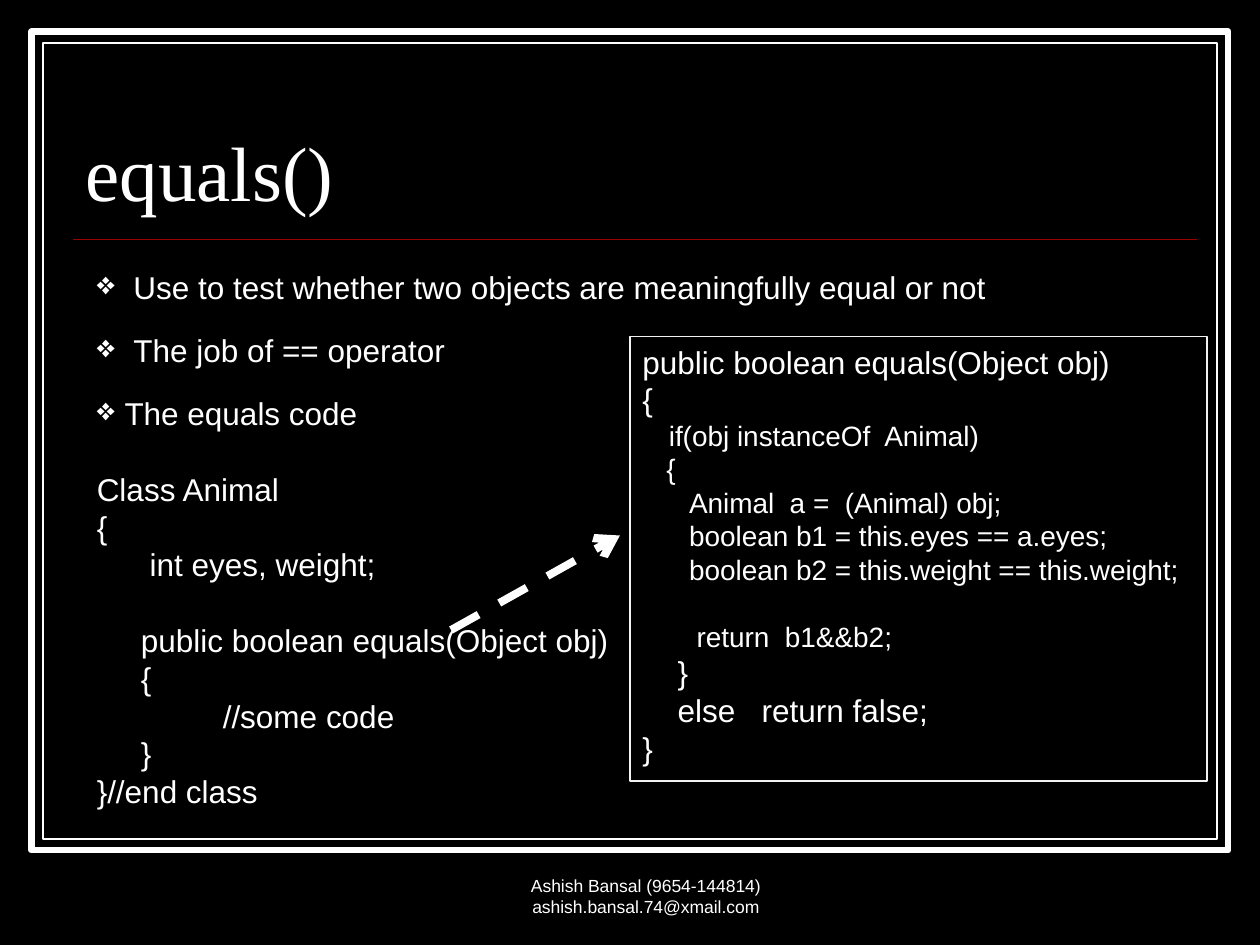
import pptx
import pptx.util
import pptx.dml.color
import pptx.enum.dml
import pptx.enum.shapes
import pptx.enum.text
import pptx.oxml.ns
import pptx.oxml.xmlchemy
from dataclasses import dataclass

Inches = pptx.util.Inches
Pt = pptx.util.Pt
ALIGN = pptx.enum.text.PP_ALIGN
ANCHOR = pptx.enum.text.MSO_ANCHOR
new_element = pptx.oxml.xmlchemy.OxmlElement
qn = pptx.oxml.ns.qn


def rgb(code):
    return pptx.dml.color.RGBColor.from_string(code)


@dataclass(frozen=True)
class Theme:
    back: str = "000000"
    ink: str = "FFFFFF"
    rule: str = "990000"
    code_border: str = "F2F2F2"
    heading_font: str = "Times New Roman"
    body_font: str = "Arial"
    title_size: int = 44
    body_size: int = 18
    code_size: int = 16
    footer_size: int = 10


THEME = Theme()


def format_runs(paragraph, size, font=THEME.body_font):
    for run in paragraph.runs:
        run.font.size = Pt(size)
        run.font.name = font
        run.font.color.rgb = rgb(THEME.ink)


def set_indent(paragraph, left, hanging=0, bullet=None):
    properties = paragraph._p.get_or_add_pPr()
    properties.set("marL", str(Inches(left)))
    properties.set("indent", str(-Inches(hanging)))
    if bullet:
        mark = new_element("a:buChar")
        mark.set("char", bullet)
        properties.append(mark)


def fill_code(frame, lines, first=True):
    """Each line is text, indent in inches, size, blank lines before it."""
    for text, indent, size, gap in lines:
        paragraph = frame.paragraphs[0] if first else frame.add_paragraph()
        first = False
        paragraph.text = text
        paragraph.alignment = ALIGN.LEFT
        paragraph.space_before = Pt(gap * size * 1.2)
        set_indent(paragraph, indent)
        format_runs(paragraph, size)


def add_rectangle(slide, box, line_color, line_width, fill=None):
    rectangle = slide.shapes.add_shape(
        pptx.enum.shapes.MSO_SHAPE.RECTANGLE, *map(Inches, box))
    rectangle.shadow.inherit = False
    if fill:
        rectangle.fill.solid()
        rectangle.fill.fore_color.rgb = rgb(fill)
    else:
        rectangle.fill.background()
    rectangle.line.color.rgb = rgb(line_color)
    rectangle.line.width = Pt(line_width)
    return rectangle


def add_line(slide, start, end, color, width):
    line = slide.shapes.add_connector(
        pptx.enum.shapes.MSO_CONNECTOR.STRAIGHT, *map(Inches, start + end))
    line.line.color.rgb = rgb(color)
    line.line.width = Pt(width)
    line._element.spPr.append(new_element("a:effectLst"))
    return line


def add_text_box(slide, box, wrap=False):
    frame = slide.shapes.add_textbox(*map(Inches, box)).text_frame
    frame.word_wrap = wrap
    return frame


def add_frame(slide, box):
    """Double border and the rule below the title."""
    left, top, width, height = box
    for inset, weight in ((0, 3.5), (0.09, 0.75)):
        add_rectangle(slide, (left + inset, top + inset, width - 2 * inset,
                              height - 2 * inset), THEME.ink, weight, THEME.back)
    rule_y = top + 1.65
    add_line(slide, (left + 0.33, rule_y), (left + width - 0.25, rule_y),
             THEME.rule, 1)


def place_title(slide, box, text):
    title = slide.shapes.title
    title.left, title.top, title.width, title.height = map(Inches, box)
    slide.shapes._spTree.append(title._element)  # bring in front of the frame
    frame = title.text_frame
    frame.text = text
    frame.vertical_anchor = ANCHOR.BOTTOM
    heading = frame.paragraphs[0]
    heading.alignment = ALIGN.LEFT
    heading.line_spacing = 0.8
    format_runs(heading, THEME.title_size, THEME.heading_font)


def add_footer(slide, box, text):
    frame = add_text_box(slide, box, wrap=True)
    frame.vertical_anchor = ANCHOR.BOTTOM
    frame.text = text
    frame.paragraphs[0].alignment = ALIGN.CENTER
    format_runs(frame.paragraphs[0], THEME.footer_size)


def add_points(slide, box, points, class_code):
    """Evenly spaced bullets; the class code follows the last one."""
    left, top, width, height = box
    pitch = 0.5
    for index, (text, point_width, hanging) in enumerate(points):
        last = index == len(points) - 1
        offset = index * pitch
        frame = add_text_box(slide, (left, top + offset, point_width,
                                     height - offset if last else 0.4))
        frame.text = text
        set_indent(frame.paragraphs[0], hanging, hanging, "❖")
        format_runs(frame.paragraphs[0], THEME.body_size)
    fill_code(frame, class_code, first=False)


def add_code_panel(slide, box, code):
    panel = add_rectangle(slide, box, THEME.code_border, 0.75)
    panel.text_frame.word_wrap = True
    panel.text_frame.vertical_anchor = ANCHOR.TOP
    fill_code(panel.text_frame, code)


def add_dashed_arrow(slide, start, end):
    arrow = add_line(slide, start, end, THEME.ink, 4.5)
    arrow.line.dash_style = pptx.enum.dml.MSO_LINE.DASH
    head = new_element("a:tailEnd")
    head.set("type", "arrow")
    arrow._element.spPr.find(qn("a:ln")).append(head)


BODY, CODE = THEME.body_size, THEME.code_size
POINTS = [
    ("Use to test whether two objects are meaningfully equal or not", 7.33, 0.29),
    ("The job of == operator", 2.99, 0.29),
    ("The equals code", 4.3, 0.22),
]
CLASS_CODE = [
    ("Class Animal", 0, BODY, 1),
    ("{", 0, BODY, 0),
    ("int eyes, weight;", 0.42, BODY, 0),
    ("public boolean equals(Object obj)", 0.35, BODY, 1),
    ("{", 0.35, BODY, 0),
    ("//some code", 1, BODY, 0),
    ("}", 0.35, BODY, 0),
    ("}//end class", 0, BODY, 0),
]
EQUALS_CODE = [
    ("public boolean equals(Object obj)", 0, BODY, 0),
    ("{", 0, BODY, 0),
    ("if(obj instanceOf  Animal)", 0.21, CODE, 0),
    ("{", 0.19, CODE, 0),
    ("Animal  a =  (Animal) obj;", 0.37, CODE, 0),
    ("boolean b1 = this.eyes == a.eyes;", 0.37, CODE, 0),
    ("boolean b2 = this.weight == this.weight;", 0.37, CODE, 0),
    ("return  b1&&b2;", 0.43, CODE, 1),
    ("}", 0.28, BODY, 0),
    ("else   return false;", 0.28, BODY, 0),
    ("}", 0, BODY, 0),
]

deck = pptx.Presentation()
deck.slide_width, deck.slide_height = Inches(10), Inches(7.5)
slide = deck.slides.add_slide(deck.slide_layouts.get_by_name("Title Only"))
slide.background.fill.solid()
slide.background.fill.fore_color.rgb = rgb(THEME.back)

add_frame(slide, (0.25, 0.25, 9.5, 6.5))
place_title(slide, (0.58, 0.52, 8.92, 1.25), "equals()")
add_footer(slide, (3.54, 6.83, 3.17, 0.5),
           "Ashish Bansal (9654-144814) ashish.bansal.74@xmail.com")
add_points(slide, (0.67, 2.08, 7.33, 4.43), POINTS, CLASS_CODE)
add_code_panel(slide, (5, 2.67, 4.58, 3.53), EQUALS_CODE)
add_dashed_arrow(slide, (3.58, 5), (4.92, 4.25))
deck.save("out.pptx")
